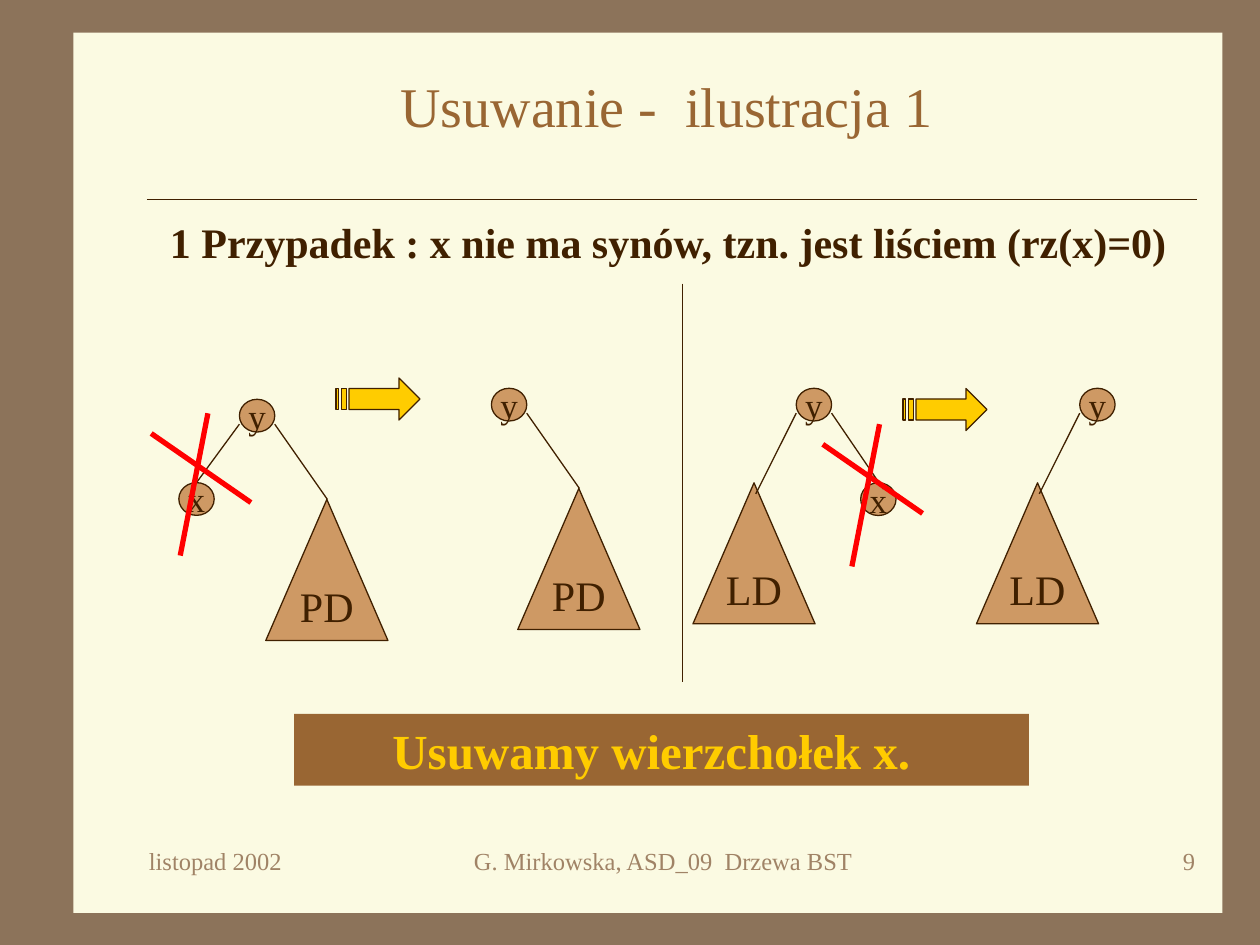
"""Build the slide showing how a leaf x is deleted from a binary search tree."""
from lxml.etree import SubElement
from pptx import Presentation
from pptx.dml.color import RGBColor
from pptx.enum.shapes import MSO_CONNECTOR, MSO_SHAPE as SHAPE
from pptx.enum.text import MSO_ANCHOR as ANCHOR, PP_ALIGN as ALIGN
from pptx.oxml.ns import qn
from pptx.util import Pt

FRAME = RGBColor(0x8C, 0x73, 0x5A)
PAPER = RGBColor(0xFB, 0xFA, 0xE2)
INK = RGBColor(0x40, 0x20, 0x00)
BROWN = RGBColor(0x99, 0x66, 0x33)
NODE = RGBColor(0xCE, 0x99, 0x64)
GOLD = RGBColor(0xFF, 0xCC, 0x00)
MUTED = RGBColor(0xA0, 0x83, 0x66)
RED = RGBColor(0xFF, 0x00, 0x00)

FONT = "Times New Roman"
TITLE = "Usuwanie -  ilustracja 1"
CASE = "1 Przypadek : x nie ma synów, tzn. jest liściem (rz(x)=0)"
CONCLUSION = "Usuwamy wierzchołek x."
FOOTERS = [
    ("listopad 2002", 78, 150, ALIGN.LEFT),
    ("G. Mirkowska, ASD_09  Drzewa BST", 220, 318, ALIGN.CENTER),
    ("9", 540, 150, ALIGN.RIGHT),
]

CIRCLE = (SHAPE.OVAL, 20.2, 18.7, 20)
SUBTREE = (SHAPE.ISOSCELES_TRIANGLE, 69.8, 80.6, 24)
EDGE_DROP = 14.2

# label, kind, offset from y, shift of the edge's end from the top of the child
LEFT_X = ("x", CIRCLE, (-34.6, 47.6), (0, 0))
RIGHT_X = ("x", CIRCLE, (36.8, 54), (2.9, 3.6))
PD = ("PD", SUBTREE, (15.1, 57.2), (0.3, 0))
LD = ("LD", SUBTREE, (-59, 54), (1, 6.3))
TREES = [
    ((136.8, 228.2), [LEFT_X, PD]),
    ((280.8, 221.9), [PD]),
    ((455, 221.9), [RIGHT_X, LD]),
    ((617, 221.9), [LD]),
]

ARROWS = [(192, 216), (516, 222)]
ARROW_OUTLINES = [
    [(7.5, 6), (36, 6), (36, 0), (48, 12), (36, 24), (36, 18), (7.5, 18)],
    [(0, 6), (1.5, 6), (1.5, 18), (0, 18)],
    [(3, 6), (6, 6), (6, 18), (3, 18)],
]
CROSSES = [(86.4, 236.2), (470.2, 242.4)]
CROSS_BARS = [((0, 11.5), (57, 51)), ((32.4, 0), (16.6, 81.3))]


def write(shape, words, size, color, align=ALIGN.LEFT, anchor=ANCHOR.TOP,
          bold=False, wrap=True):
    frame = shape.text_frame
    frame.word_wrap = wrap
    frame.vertical_anchor = anchor
    paragraph = frame.paragraphs[0]
    paragraph.alignment = align
    run = paragraph.add_run()
    run.text = words
    run.font.name, run.font.size = FONT, Pt(size)
    run.font.bold = bold
    run.font.color.rgb = color


def add_text(shapes, box, words, size, color, **style):
    write(shapes.add_textbox(*map(Pt, box)), words, size, color, **style)


def paint(shape, fill, outlined=True):
    shape.shadow.inherit = False
    shape.fill.solid()
    shape.fill.fore_color.rgb = fill
    if outlined:
        shape.line.color.rgb = INK
        shape.line.width = Pt(0.75)
    else:
        shape.line.fill.background()


def add_panel(shapes, box, fill):
    panel = shapes.add_shape(SHAPE.RECTANGLE, *map(Pt, box))
    paint(panel, fill, outlined=False)
    return panel


def add_line(shapes, start, end, color=INK, width=0.75):
    line = shapes.add_connector(MSO_CONNECTOR.STRAIGHT, *map(Pt, start + end))
    line.line.color.rgb = color
    line.line.width = Pt(width)
    SubElement(line._element.spPr, qn("a:effectLst"))


def add_node(shapes, left, top, label, kind):
    preset, width, height, size = kind
    node = shapes.add_shape(preset, Pt(left), Pt(top), Pt(width), Pt(height))
    paint(node, NODE)
    write(node, label, size, INK, ALIGN.CENTER, ANCHOR.MIDDLE, wrap=False)


def add_tree(shapes, root, children):
    left, top = root
    add_node(shapes, left, top, "y", CIRCLE)
    for label, kind, (dx, dy), (end_dx, end_dy) in children:
        child_left, child_top = left + dx, top + dy
        add_node(shapes, child_left, child_top, label, kind)
        start = (left + (CIRCLE[1] if dx > 0 else 0), top + EDGE_DROP)
        end = (child_left + kind[1] / 2 + end_dx, child_top + end_dy)
        add_line(shapes, start, end)


def add_striped_arrow(shapes, left, top):
    outlines = [[(Pt(left + x), Pt(top + y)) for x, y in outline]
                for outline in ARROW_OUTLINES]
    builder = shapes.build_freeform(*outlines[0][0])
    builder.add_line_segments(outlines[0][1:])
    for outline in outlines[1:]:
        builder.move_to(*outline[0])
        builder.add_line_segments(outline[1:])
    paint(builder.convert_to_shape(), GOLD)


def main():
    deck = Presentation()
    deck.slide_width, deck.slide_height = Pt(720), Pt(540)
    slide = deck.slides.add_slide(deck.slide_layouts[6])
    slide.background.fill.solid()
    slide.background.fill.fore_color.rgb = FRAME
    shapes = slide.shapes

    add_panel(shapes, (42, 18.7, 656.5, 503), PAPER)
    add_line(shapes, (84, 114), (684, 114))
    add_text(shapes, (78, 36, 606, 48), TITLE, 32, BROWN,
             align=ALIGN.CENTER, anchor=ANCHOR.MIDDLE)
    add_text(shapes, (90, 120, 594, 36), CASE, 24, INK, bold=True)
    banner = add_panel(shapes, (168, 408, 420, 41), BROWN)
    banner.text_frame.margin_left = Pt(56.2)
    write(banner, CONCLUSION, 28, GOLD, bold=True)

    add_line(shapes, (390, 162), (390, 390))
    for root, children in TREES:
        add_tree(shapes, root, children)
    for left, top in ARROWS:
        add_striped_arrow(shapes, left, top)
    for left, top in CROSSES:
        for (x1, y1), (x2, y2) in CROSS_BARS:
            add_line(shapes, (left + x1, top + y1), (left + x2, top + y2), RED, 3)

    for words, left, width, align in FOOTERS:
        add_text(shapes, (left, 480, width, 36), words, 14, MUTED, align=align)
    deck.save("out.pptx")


if __name__ == "__main__":
    main()
